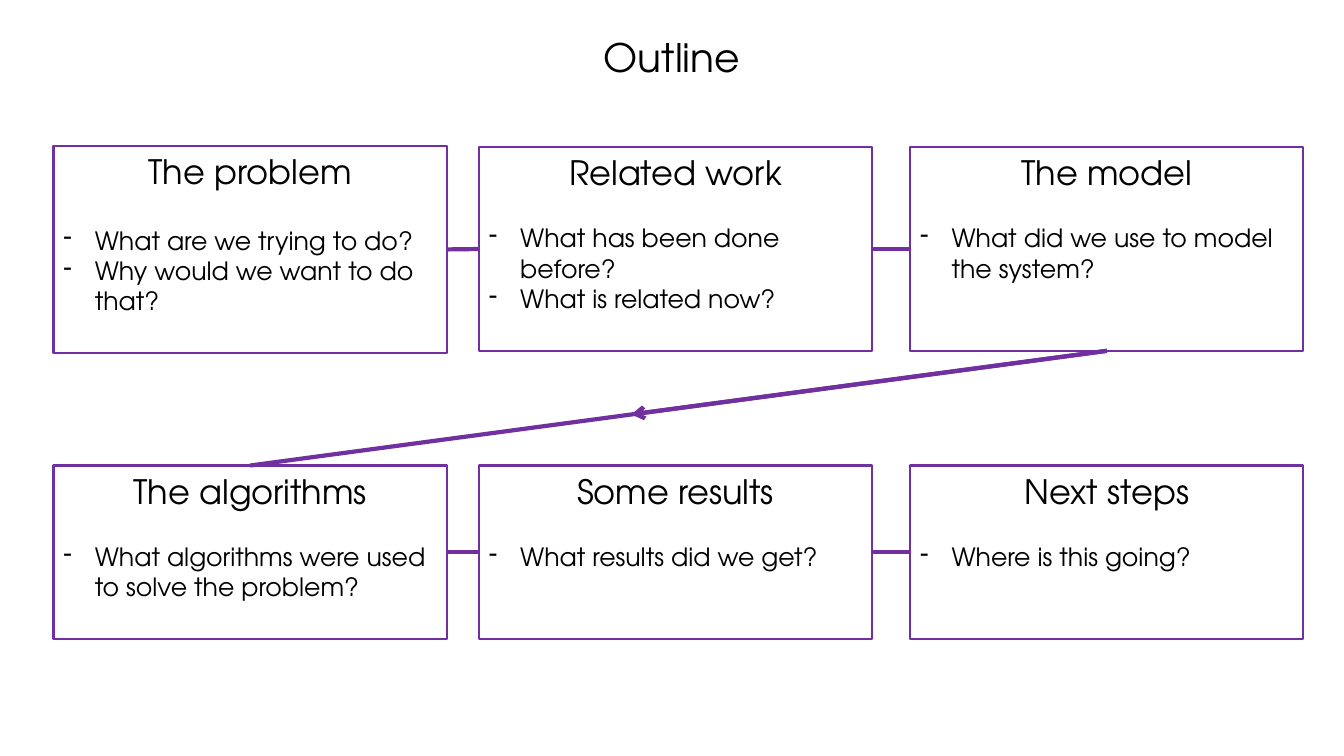
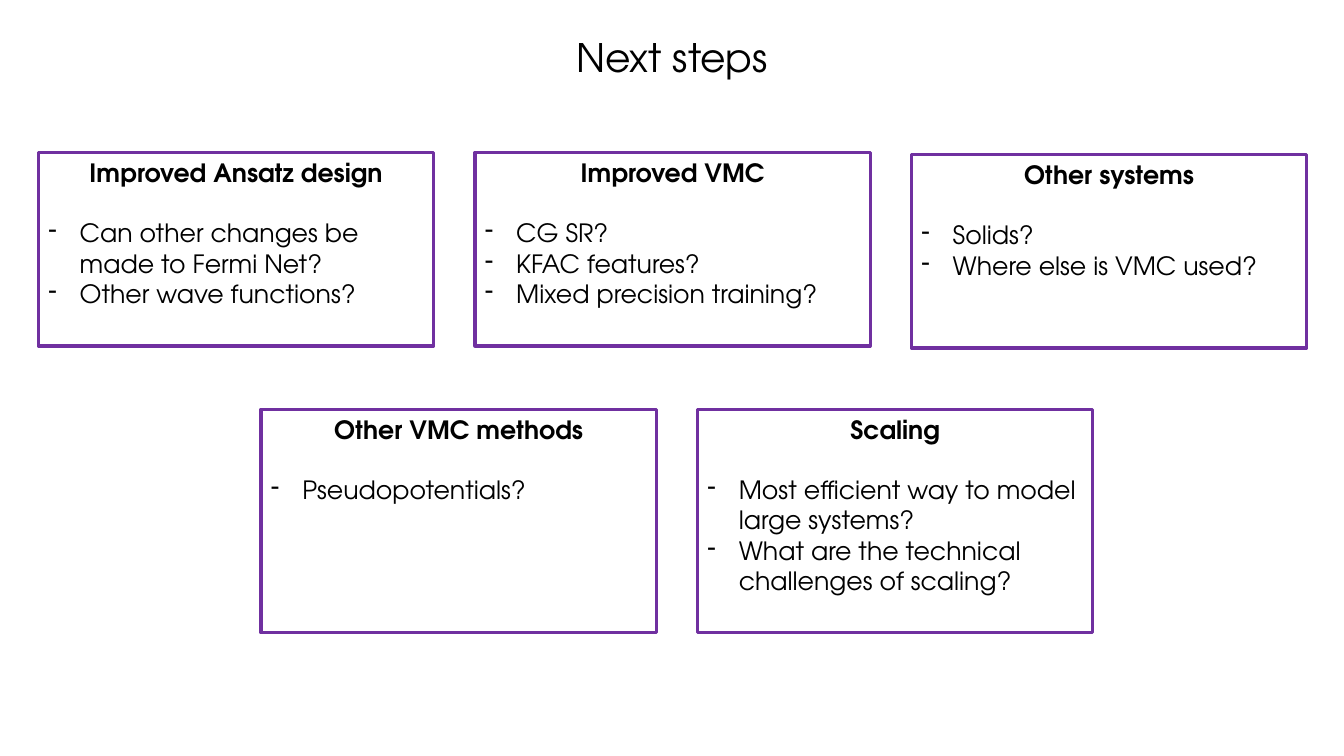
from lxml import etree
from pptx import Presentation
from pptx.dml.color import RGBColor
from pptx.enum.shapes import MSO_CONNECTOR, MSO_SHAPE
from pptx.enum.text import MSO_ANCHOR, PP_ALIGN
from pptx.oxml.ns import qn
from pptx.util import Cm, Pt

RECTANGLE = MSO_SHAPE.RECTANGLE
STRAIGHT = MSO_CONNECTOR.STRAIGHT
TOP, MIDDLE = MSO_ANCHOR.TOP, MSO_ANCHOR.MIDDLE
LEFT, CENTER = PP_ALIGN.LEFT, PP_ALIGN.CENTER
TOP_SITE, LEFT_SITE, BOTTOM_SITE, RIGHT_SITE = range(4)

PURPLE = RGBColor(0x70, 0x30, 0xA0)
BLACK = RGBColor(0, 0, 0)
FONT = "TeX Gyre Adventor"
SLIDE_WIDTH, SLIDE_HEIGHT = 33.87, 19.05
TITLE_HEIGHT = 3
BODY_SIZE = 18
BULLET_INDENT = 0.79
BLANK_LINE = 1.2  # line height relative to the font size

# Lengths in cm. Card: heading, bullets, column, top, height, size of the gap line
OUTLINE = {
    "title": "Outline",
    "columns": [1.35, 12.07, 22.94],
    "width": 9.91,
    "border": 1.5,
    "heading": {"size": Pt(24), "bold": False},
    "cards": [
        ("The problem", ["What are we trying to do?", "Why would we want to do that?"],
         0, 3.68, 5.21, 20),
        ("Related work", ["What has been done before?", "What is related now?"],
         1, 3.71, 5.13, 18),
        ("The model", ["What did we use to model the system?"], 2, 3.71, 5.13, 18),
        ("The algorithms", ["What algorithms were used to solve the problem?"],
         0, 11.73, 4.37, 18),
        ("Some results", ["What results did we get?"], 1, 11.73, 4.37, 18),
        ("Next steps", ["Where is this going?"], 2, 11.73, 4.37, 18),
    ],
}
NEXT_STEPS = {
    "title": "Next steps",
    "columns": [0.97 + 11 * step for step in (0, 1, 2)] + [6.58 + 11 * step for step in (0, 1)],
    "width": 9.96,
    "border": 2.25,
    "heading": {"size": Pt(18), "bold": True},
    "cards": [
        ("Improved Ansatz design",
         ["Can other changes be made to Fermi Net?", "Other wave functions?"],
         0, 3.84, 4.88, 18),
        ("Improved VMC", ["CG SR?", "KFAC features?", "Mixed precision training?"],
         1, 3.84, 4.88, 18),
        ("Other systems", ["Solids?", "Where else is VMC used?"], 2, 3.89, 4.88, 18),
        ("Other VMC methods", ["Pseudopotentials?"], 3, 10.31, 5.64, 18),
        ("Scaling",
         ["Most efficient way to model large systems?",
          "What are the technical challenges of scaling?"],
         4, 10.31, 5.64, 18),
    ],
}


def write(paragraph, text, align, **formats):
    paragraph.alignment = align
    run = paragraph.add_run()
    run.text = text
    run.font.color.rgb = BLACK
    for name, value in {"name": FONT, **formats}.items():
        setattr(run.font, name, value)


def add_dash(paragraph):
    """Give the paragraph a hanging dash as its bullet."""
    properties = paragraph._p.get_or_add_pPr()
    properties.set("marL", str(Cm(BULLET_INDENT)))
    properties.set("indent", str(-Cm(BULLET_INDENT)))
    etree.SubElement(properties, qn("a:buFontTx"))
    etree.SubElement(properties, qn("a:buChar"), char="-")


def add_title(slide, text):
    frame = slide.shapes.add_textbox(0, 0, Cm(SLIDE_WIDTH), Cm(TITLE_HEIGHT)).text_frame
    frame.word_wrap = True
    frame.vertical_anchor = MIDDLE
    frame.paragraphs[0].line_spacing = 0.9
    write(frame.paragraphs[0], text, CENTER, size=Pt(28))


def add_card(slide, topic, card):
    heading, bullets, column, top, height, gap_size = card
    box = slide.shapes.add_shape(RECTANGLE, Cm(topic["columns"][column]), Cm(top),
                                 Cm(topic["width"]), Cm(height))
    box.shadow.inherit = False
    box.fill.background()
    box.line.color.rgb = PURPLE
    box.line.width = Pt(topic["border"])
    frame = box.text_frame
    frame.word_wrap = True
    frame.vertical_anchor = TOP
    write(frame.paragraphs[0], heading, CENTER, **topic["heading"])
    frame.paragraphs[0].space_after = Pt(gap_size * BLANK_LINE)
    for bullet in bullets:
        paragraph = frame.add_paragraph()
        write(paragraph, bullet, LEFT, size=Pt(BODY_SIZE))
        add_dash(paragraph)
    return box


def add_line(slide):
    line = slide.shapes.add_connector(STRAIGHT, 0, 0, 0, 0)
    line.line.color.rgb = PURPLE
    line.line.width = Pt(3)
    etree.SubElement(line._element.spPr, qn("a:effectLst"))
    return line


def link(slide, start, start_site, end, end_site):
    line = add_line(slide)
    line.begin_connect(start, start_site)
    line.end_connect(end, end_site)
    return line


def add_direction_arrow(slide, start, along):
    """Lay an arrow from the start card over the first part of a link."""
    arrow = add_line(slide)
    arrow.begin_connect(start, BOTTOM_SITE)
    share = 0.555
    arrow.end_x = round(along.begin_x + share * (along.end_x - along.begin_x))
    arrow.end_y = round(along.begin_y + share * (along.end_y - along.begin_y))
    etree.SubElement(arrow.line._get_or_add_ln(), qn("a:tailEnd"), type="arrow")


def add_topic(deck, topic):
    slide = deck.slides.add_slide(deck.slide_layouts[6])
    add_title(slide, topic["title"])
    return slide, [add_card(slide, topic, card) for card in topic["cards"]]


def main():
    deck = Presentation()
    deck.slide_width, deck.slide_height = Cm(SLIDE_WIDTH), Cm(SLIDE_HEIGHT)

    slide, cards = add_topic(deck, OUTLINE)
    for row in (cards[:3], cards[3:]):
        for left, right in zip(row, row[1:]):
            link(slide, left, RIGHT_SITE, right, LEFT_SITE)
    model, algorithms = cards[2], cards[3]
    turn = link(slide, model, BOTTOM_SITE, algorithms, TOP_SITE)
    add_direction_arrow(slide, model, turn)

    add_topic(deck, NEXT_STEPS)
    deck.save("out.pptx")


if __name__ == "__main__":
    main()
